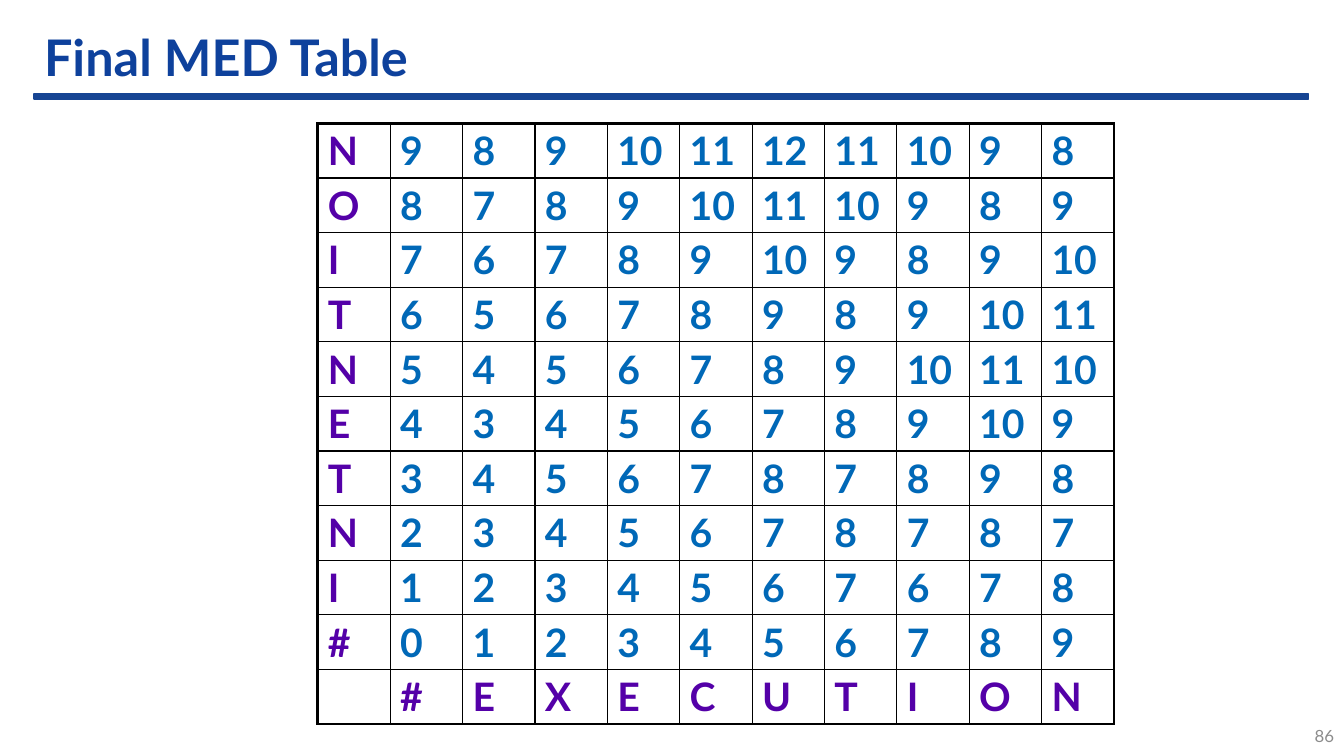
from lxml.etree import SubElement
from pptx import Presentation
from pptx.dml.color import RGBColor
from pptx.enum.shapes import MSO_SHAPE
from pptx.enum.text import MSO_ANCHOR, PP_ALIGN
from pptx.oxml.ns import qn
from pptx.util import Cm, Pt

COLORS = {
    "title": "0E419C",
    "rule": "174593",
    "letter": "5400A8",
    "distance": "0068B7",
    "border": "000000",
    "page_number": "8C8C8C",
}
FONT = "Lato"
THIN, THICK = Pt(1), Pt(2.25)

# One row per letter of the source word, read from the bottom up
DISTANCES = """
N 9 8 9 10 11 12 11 10 9 8
O 8 7 8 9 10 11 10 9 8 9
I 7 6 7 8 9 10 9 8 9 10
T 6 5 6 7 8 9 8 9 10 11
N 5 4 5 6 7 8 9 10 11 10
E 4 3 4 5 6 7 8 9 10 9
T 3 4 5 6 7 8 7 8 9 8
N 2 3 4 5 6 7 8 7 8 7
I 1 2 3 4 5 6 7 6 7 8
# 0 1 2 3 4 5 6 7 8 9
"""
TARGET = "#EXECUTION"


def rgb(name):
    return RGBColor.from_string(COLORS[name])


def style(para, size, color, bold=False):
    font = para.font
    font.name, font.size, font.bold = FONT, Pt(size), bold
    font.color.rgb = rgb(color)


def add_label(page, text, left, top, width, height, size, color, bold=False):
    frame = page.shapes.add_textbox(Cm(left), Cm(top), Cm(width), Cm(height)).text_frame
    frame.word_wrap = True
    frame.vertical_anchor = MSO_ANCHOR.MIDDLE
    para = frame.paragraphs[0]
    para.text = text
    style(para, size, color, bold)
    return para


def add_rule(page, left, top, width, height):
    rule = page.shapes.add_shape(
        MSO_SHAPE.RECTANGLE, Cm(left), Cm(top), Cm(width), Cm(height))
    rule.shadow.inherit = False
    rule.fill.solid()
    rule.fill.fore_color.rgb = rgb("rule")
    rule.line.color.rgb = rgb("rule")
    rule.line.width = Pt(1)


def set_borders(cell, widths):
    """Draw the cell's edges; widths maps L, R, T and B, in that order."""
    properties = cell._tc.get_or_add_tcPr()
    for position, (side, width) in enumerate(widths.items()):
        line = SubElement(properties, qn(f"a:ln{side}"), w=str(width))
        fill = SubElement(line, qn("a:solidFill"))
        SubElement(fill, qn("a:srgbClr"), val=COLORS["border"])
        properties.insert(position, line)


def fill_cell(cell, text, color):
    cell.fill.background()
    cell.margin_left = cell.margin_right = Cm(0.25)
    cell.margin_top = cell.margin_bottom = Cm(0.09)
    para = cell.text_frame.paragraphs[0]
    para.text = text
    style(para, 28, color, bold=True)


def add_distance_table(page, left, top, width, height):
    rows = [line.split() for line in DISTANCES.strip().splitlines()]
    rows.append(["", *TARGET])
    last_row, last_column = len(rows) - 1, len(TARGET)

    frame = page.shapes.add_table(
        len(rows), last_column + 1, Cm(left), Cm(top), Cm(width), Cm(height))
    table = frame.table
    table.first_row = table.horz_banding = False
    for column in table.columns:
        column.width = Cm(width / (last_column + 1))
    for row in table.rows:
        row.height = Cm(height / len(rows))

    for r, values in enumerate(rows):
        for c, value in enumerate(values):
            cell = table.cell(r, c)
            is_letter = c == 0 or r == last_row
            fill_cell(cell, value, "letter" if is_letter else "distance")
            set_borders(cell, {
                "L": THICK if c == 0 else THIN,
                "R": THICK if c == last_column else THIN,
                "T": THICK if r == 0 else THIN,
                "B": THICK if r == last_row else THIN,
            })


def main():
    deck = Presentation()
    deck.slide_width, deck.slide_height = Cm(33.87), Cm(19.05)
    page = deck.slides.add_slide(deck.slide_layouts[6])

    # Heading
    add_rule(page, 0.86, 2.37, 32.11, 0.13)
    title = add_label(page, "Final MED Table", 0.86, 0.66, 32.11, 1.7, 36, "title", bold=True)
    title.line_spacing = 0.9

    # Edit distances
    add_distance_table(page, 8.01, 3.11, 20.07, 15.14)

    # Page number
    number = add_label(page, "86", 32.17, 18.03, 1.7, 1.02, 12, "page_number")
    number.alignment = PP_ALIGN.RIGHT

    deck.save("out.pptx")


if __name__ == "__main__":
    main()
